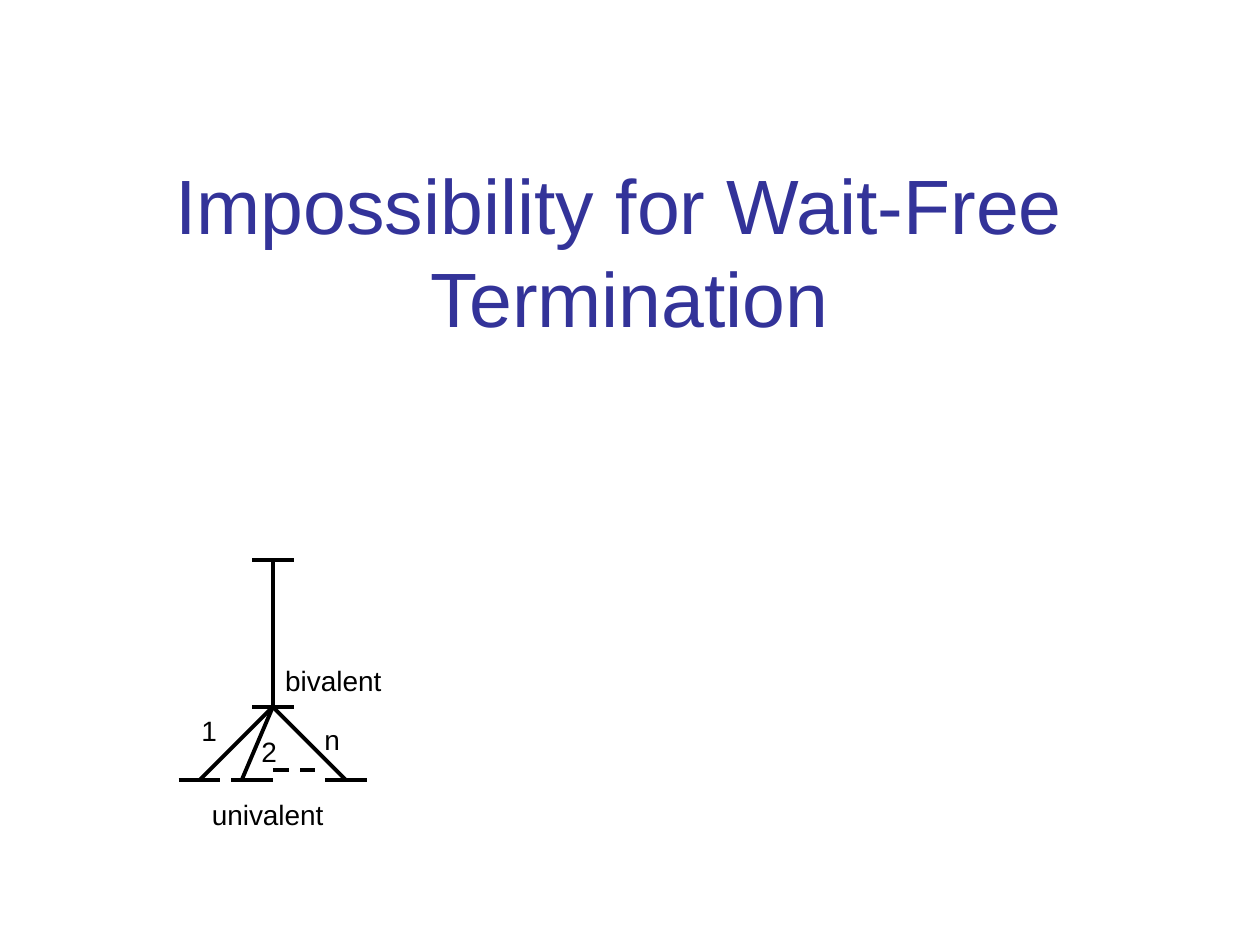
import pptx
import pptx.dml.color
import pptx.enum.dml
import pptx.enum.shapes
import pptx.enum.text
import pptx.oxml
import pptx.util
from pptx.util import Cm

TITLE_BLUE = pptx.dml.color.RGBColor(0x33, 0x33, 0x99)
BLACK = pptx.dml.color.RGBColor(0, 0, 0)

TITLE_FONT = {"name": "Arial", "size": pptx.util.Pt(44), "bold": False}
LABEL_FONT = {"name": "Arial", "size": pptx.util.Pt(16)}


def format_font(font, values, color):
    for attribute, value in values.items():
        setattr(font, attribute, value)
    font.color.rgb = color


def draw_line(x1, y1, x2, y2):
    line = slide.shapes.add_connector(
        pptx.enum.shapes.MSO_CONNECTOR.STRAIGHT, Cm(x1), Cm(y1), Cm(x2), Cm(y2))
    line.line.color.rgb = BLACK
    line.line.width = pptx.util.Pt(2.25)
    line._element.spPr.append(pptx.oxml.parse_xml(
        '<a:effectLst xmlns:a="http://schemas.openxmlformats.org/drawingml/2006/main"/>'))
    return line


deck = pptx.Presentation()
deck.slide_width, deck.slide_height = Cm(25.4), Cm(19.05)
slide = deck.slides.add_slide(deck.slide_layouts[5])

# Title
title = slide.shapes.title
title.left, title.top, title.width, title.height = Cm(1.27), Cm(0.76), Cm(22.86), Cm(8.56)
title.text_frame.text = "Impossibility for Wait-Free \vTermination"
title_frame = {"word_wrap": True,
               "auto_size": pptx.enum.text.MSO_AUTO_SIZE.NONE,
               "vertical_anchor": pptx.enum.text.MSO_ANCHOR.MIDDLE}
for attribute, value in title_frame.items():
    setattr(title.text_frame, attribute, value)
heading = title.text_frame.paragraphs[0]
heading.alignment = pptx.enum.text.PP_ALIGN.CENTER
for run in heading.runs:
    format_font(run.font, TITLE_FONT, TITLE_BLUE)

# Execution tree: levels of the states, and the stem
stem_x, start_y, bivalent_y, univalent_y = 5.5, 11.28, 14.25, 15.73
draw_line(stem_x, start_y, stem_x, bivalent_y)

# Branches of processes 1, 2 and n
for branch_x in (4.02, 4.87, 6.98):
    draw_line(stem_x, bivalent_y, branch_x, univalent_y)

# Short bars marking the states
half_bar = 0.42
for state_x, state_y in ((stem_x, start_y), (stem_x, bivalent_y),
                         (4.02, univalent_y), (5.08, univalent_y), (6.98, univalent_y)):
    draw_line(state_x - half_bar, state_y, state_x + half_bar, state_y)

# Dashes for the processes left out
omitted = draw_line(stem_x, 15.52, 6.35, 15.52)
omitted.line.dash_style = pptx.enum.dml.MSO_LINE.DASH

# Labels: text, left, top, width
labels = (("1", 3.81, 14.25, 1.14),
          ("2", 5.02, 14.68, 0.82),
          ("n", 6.29, 14.45, 0.82),
          ("bivalent", 5.5, 13.26, 2.44),
          ("univalent", 4.02, 15.95, 2.77))
for text, left, top, width in labels:
    label = slide.shapes.add_textbox(Cm(left), Cm(top), Cm(width), Cm(0.94))
    label.text_frame.text = text
    label.text_frame.word_wrap = len(text) == 1
    format_font(label.text_frame.paragraphs[0].runs[0].font, LABEL_FONT, BLACK)

deck.save("out.pptx")
